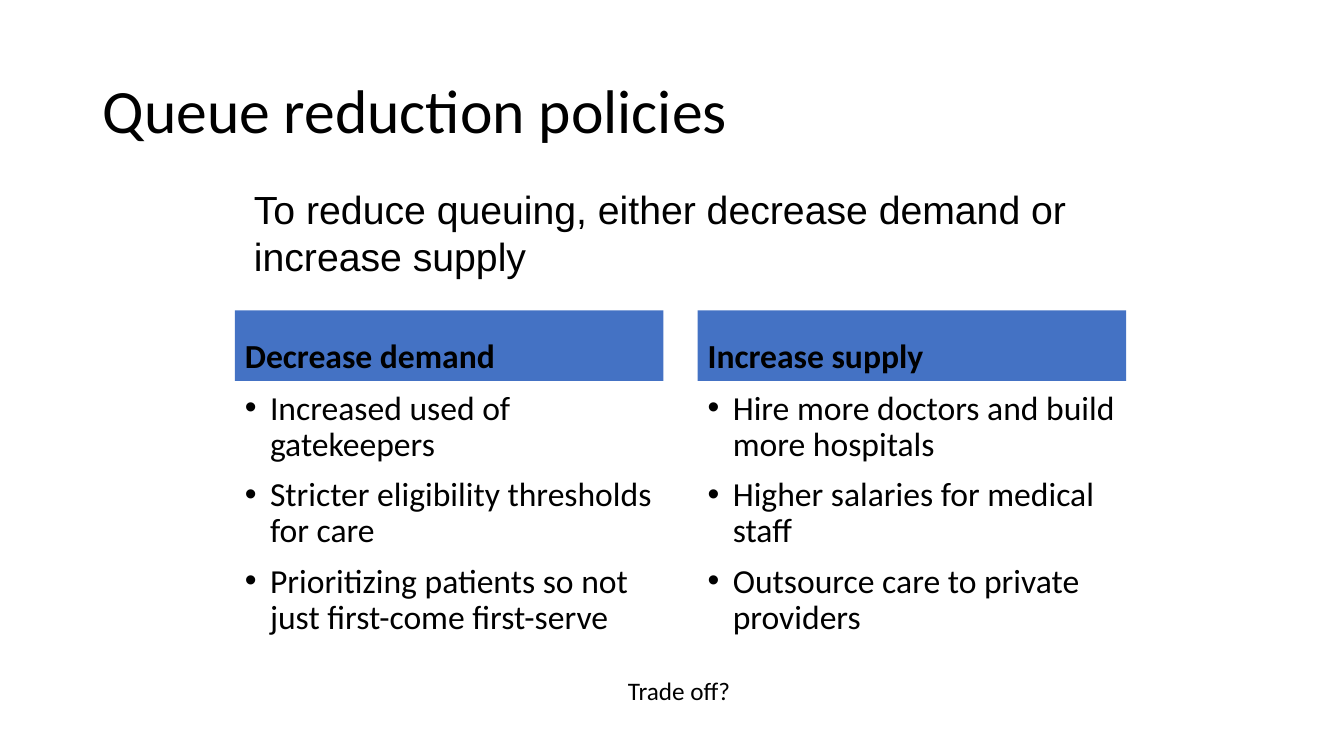
import pptx
import pptx.util
import pptx.dml.color
import pptx.enum.shapes
import pptx.enum.text
import lxml.etree

Inches = pptx.util.Inches
Pt = pptx.util.Pt
Anchor = pptx.enum.text.MSO_ANCHOR


def color(code):
    return pptx.dml.color.RGBColor.from_string(code)


def write(shape, lines, size, font="Calibri", bold=False, anchor=Anchor.TOP,
          tight=True, gap=0, bullet=False, wrap=True):
    frame = shape.text_frame
    frame.word_wrap = wrap
    frame.vertical_anchor = anchor
    for i, line in enumerate(lines):
        para = frame.paragraphs[0] if i == 0 else frame.add_paragraph()
        para.alignment = pptx.enum.text.PP_ALIGN.LEFT
        para.line_spacing = 0.9 if tight else 1.0
        para.space_before = Pt(gap)
        if bullet:
            props = para._p.get_or_add_pPr()
            props.set("marL", str(Inches(0.25)))
            props.set("indent", str(Inches(-0.25)))
            for tag, key, value in (("buFont", "typeface", "Arial"), ("buChar", "char", "•")):
                mark = lxml.etree.SubElement(props, pptx.oxml.ns.qn("a:" + tag))
                mark.set(key, value)
        run = para.add_run()
        run.text = line
        run.font.size = Pt(size)
        run.font.name = font
        run.font.bold = bold
        run.font.color.rgb = color("000000")


deck = pptx.Presentation()
deck.slide_width = Inches(13.33)
deck.slide_height = Inches(7.5)
slide = deck.slides.add_slide(deck.slide_layouts[6])
shapes = slide.shapes

title = shapes.add_textbox(Inches(0.92), Inches(0.4), Inches(11.5), Inches(1.45))
write(title, ["Queue reduction policies"], 44, anchor=Anchor.MIDDLE)

columns = [
    ("Decrease demand", [
        "Increased used of gatekeepers",
        "Stricter eligibility thresholds for care",
        "Prioritizing patients so not just first-come first-serve",
    ]),
    ("Increase supply", [
        "Hire more doctors and build more hospitals",
        "Higher salaries for medical staff",
        "Outsource care to private providers",
    ]),
]
width = Inches(4.25)
for i, (label, points) in enumerate(columns):
    left = Inches(2.33 + 4.59 * i)
    body = shapes.add_textbox(left, Inches(3.83), width, Inches(3.92))
    write(body, points, 24, gap=10, bullet=True)

    head = shapes.add_shape(pptx.enum.shapes.MSO_SHAPE.RECTANGLE,
                            left, Inches(3.08), width, Inches(0.7))
    head.shadow.inherit = False
    head.fill.solid()
    head.fill.fore_color.rgb = color("4472C4")
    head.line.fill.background()
    write(head, [label], 24, bold=True, anchor=Anchor.BOTTOM, gap=10)

intro = shapes.add_textbox(Inches(2.42), Inches(1.79), Inches(8.42), Inches(1.04))
write(intro, ["To reduce queuing, either decrease demand or increase supply"],
      28, font="Arial", tight=False)

note = shapes.add_textbox(Inches(6.13), Inches(6.65), Inches(1.23), Inches(0.4))
write(note, ["Trade off?"], 18, tight=False, wrap=False)

deck.save("out.pptx")
